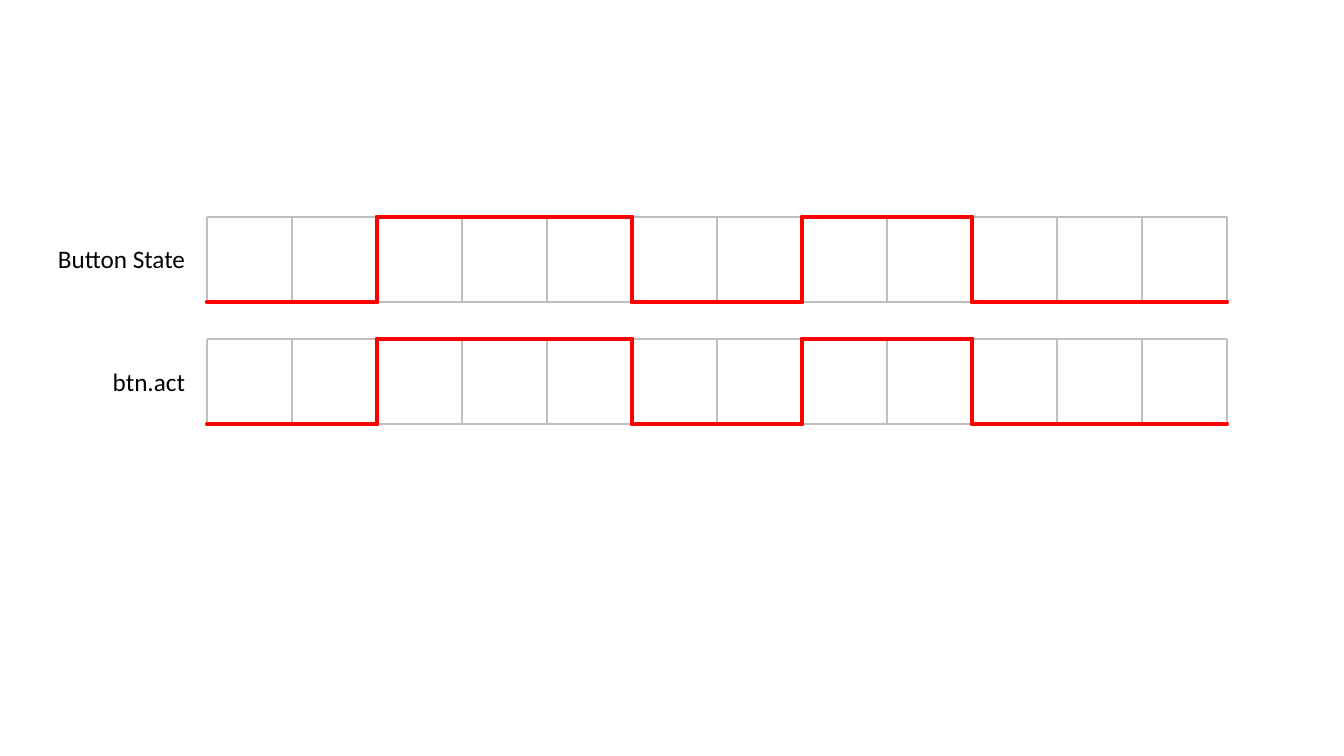
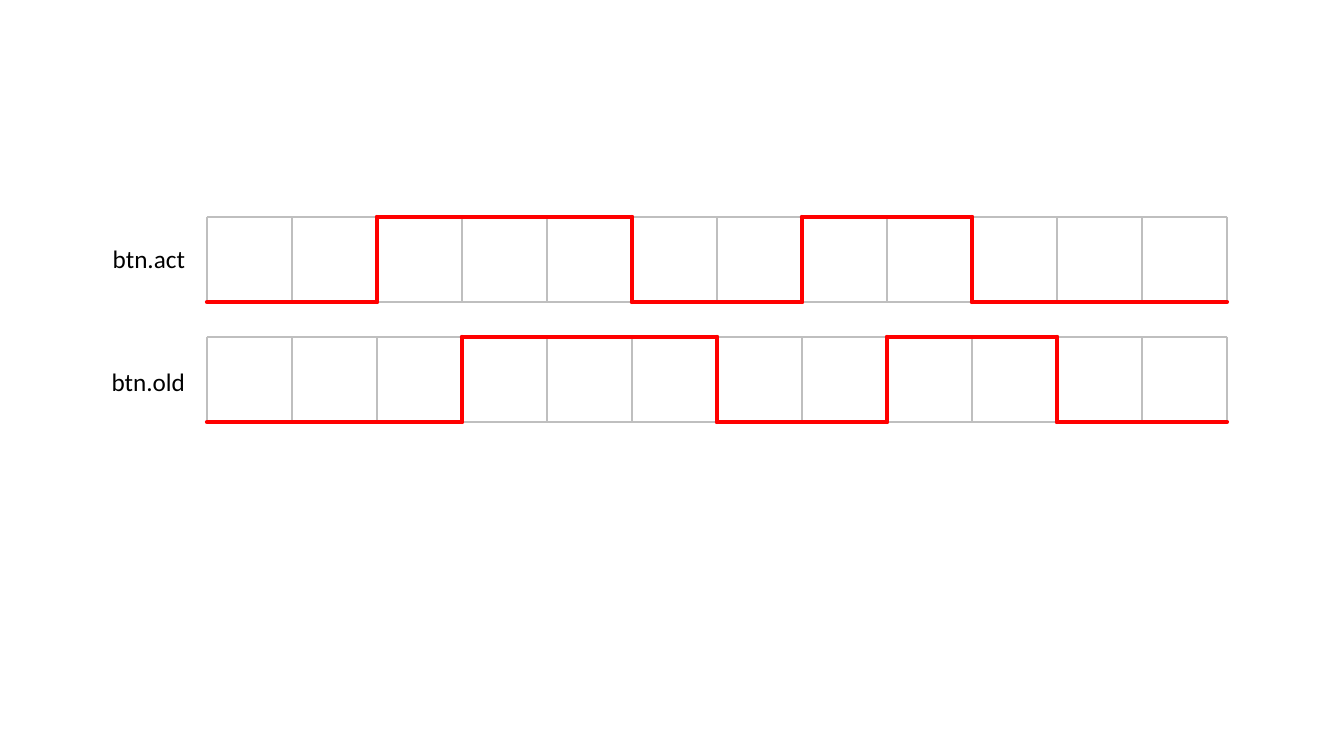
from lxml.etree import SubElement
from pptx import Presentation
from pptx.dml.color import RGBColor
from pptx.enum.shapes import MSO_CONNECTOR
from pptx.enum.text import MSO_AUTO_SIZE, PP_ALIGN
from pptx.oxml.ns import qn
from pptx.util import Emu, Pt

PRESSES = "001110011000"
DELAYED = "000111001100"

# Each signal: label, label top, grid top, level per clock tick
SLIDES = [
    [("Button State", 238, 217, PRESSES), ("btn.act", 361, 339, PRESSES)],
    [("btn.act", 238, 217, PRESSES), ("btn.old", 361, 337, DELAYED)],
]

COLORS = {"grid": "BFBFBF", "signal": "FF0000", "label": "000000"}
LINE_WIDTHS = {"grid": 1, "signal": 3}
FONT = "Calibri"
SLIDE_W, SLIDE_H = 1344, 756
GRID_LEFT, CELL = 207, 85
LABEL_LEFT, LABEL_W, LABEL_H = 43, 152, 40


def px(length):
    return Emu(round(length * 12192000 / SLIDE_W))


def add_line(slide, start, end, role):
    line = slide.shapes.add_connector(
        MSO_CONNECTOR.STRAIGHT, *(px(value) for value in (*start, *end)))
    line.line.color.rgb = RGBColor.from_string(COLORS[role])
    line.line.width = Pt(LINE_WIDTHS[role])
    if role == "signal":
        line.line._get_or_add_ln().set("cap", "rnd")
    SubElement(line._element.spPr, qn("a:effectLst"))


def add_label(slide, text, top):
    label = slide.shapes.add_textbox(
        px(LABEL_LEFT), px(top), px(LABEL_W), px(LABEL_H))
    frame = label.text_frame
    frame.word_wrap = True
    frame.auto_size = MSO_AUTO_SIZE.SHAPE_TO_FIT_TEXT
    paragraph = frame.paragraphs[0]
    paragraph.text = text
    paragraph.alignment = PP_ALIGN.RIGHT
    paragraph.font.name = FONT
    paragraph.font.size = Pt(18)
    paragraph.font.color.rgb = RGBColor.from_string(COLORS["label"])


def waveform_edges(top, levels):
    """Return the cell edges by role: those the signal follows, and the rest."""
    bottom = top + CELL
    edges = {"grid": [], "signal": []}
    for tick, level in enumerate(levels):
        left = GRID_LEFT + tick * CELL
        right = left + CELL
        high, low = ("signal", "grid") if level == "1" else ("grid", "signal")
        edges[high].append(((left, top), (right, top)))
        edges[low].append(((left, bottom), (right, bottom)))
        changes = tick > 0 and level != levels[tick - 1]
        edges["signal" if changes else "grid"].append(((left, top), (left, bottom)))
    end = GRID_LEFT + len(levels) * CELL
    edges["grid"].append(((end, top), (end, bottom)))
    return edges


def add_waveform(slide, top, levels):
    for role, segments in waveform_edges(top, levels).items():
        for start, end in segments:
            add_line(slide, start, end, role)


def main():
    deck = Presentation()
    deck.slide_width, deck.slide_height = px(SLIDE_W), px(SLIDE_H)
    for signals in SLIDES:
        slide = deck.slides.add_slide(deck.slide_layouts[6])
        for name, label_top, grid_top, levels in signals:
            add_label(slide, name, label_top)
            add_waveform(slide, grid_top, levels)
    deck.save("out.pptx")


if __name__ == "__main__":
    main()
